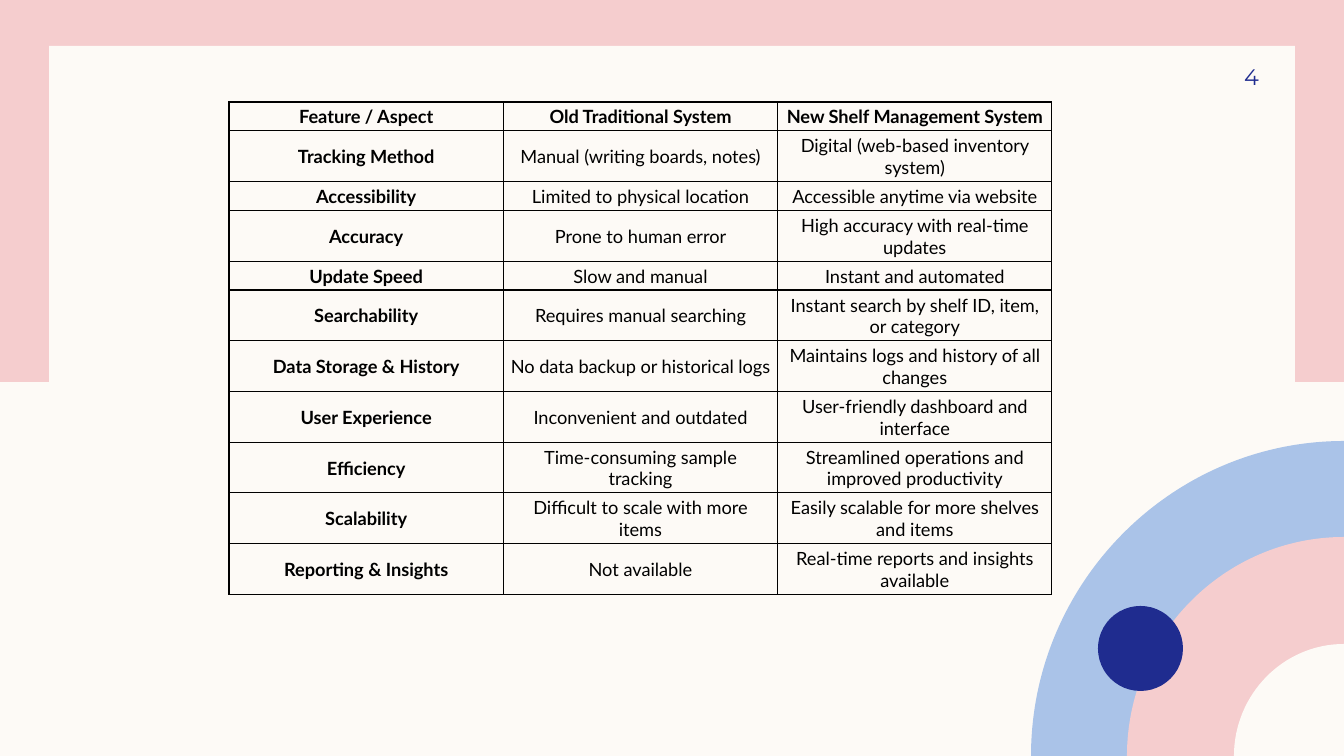
from lxml import etree
from pptx import Presentation
from pptx import util as u
from pptx.dml.color import RGBColor
from pptx.enum import shapes, text
from pptx.oxml.ns import qn

EMU_PER_PX = 914400 / 100.8
WIDTH, HEIGHT = 1344, 756
ARC_EASE = 0.45  # share of the radius left beyond a quarter arc's control point
COLORS = {"cream": "FDFAF6", "pink": "F5CDCE", "sky": "AAC3E8",
          "navy": "1F2C8F", "black": "000000"}

COMPARISON = [
    ("Feature / Aspect", "Old Traditional System", "New Shelf Management System"),
    ("Tracking Method", "Manual (writing boards, notes)", "Digital (web-based inventory system)"),
    ("Accessibility", "Limited to physical location", "Accessible anytime via website"),
    ("Accuracy", "Prone to human error", "High accuracy with real-time updates"),
    ("Update Speed", "Slow and manual", "Instant and automated"),
    ("Searchability", "Requires manual searching", "Instant search by shelf ID, item, or category"),
    ("Data Storage & History", "No data backup or historical logs",
     "Maintains logs and history of all changes"),
    ("User Experience", "Inconvenient and outdated", "User-friendly dashboard and interface"),
    ("Efficiency", "Time-consuming sample tracking",
     "Streamlined operations and improved productivity"),
    ("Scalability", "Difficult to scale with more items",
     "Easily scalable for more shelves and items"),
    ("Reporting & Insights", "Not available", "Real-time reports and insights available"),
]
ONE_LINE_ROWS = {0, 2, 4}


def px(n):
    return u.Emu(round(n * EMU_PER_PX))


def color(name):
    return RGBColor.from_string(COLORS[name])


def write(tf, content, *, size, font, fill, bold=False, align="CENTER"):
    p = tf.paragraphs[0]
    p.alignment = getattr(text.PP_ALIGN, align)
    r = p.add_run()
    r.text = content
    r.font.size, r.font.name, r.font.bold = u.Pt(size), font, bold
    r.font.color.rgb = color(fill)


def set_margins(box, left, top, right, bottom):
    box.margin_left, box.margin_top = px(left), px(top)
    box.margin_right, box.margin_bottom = px(right), px(bottom)
    box.vertical_anchor = text.MSO_ANCHOR.MIDDLE


def border(cell, fill, width):
    tcPr = cell._tc.get_or_add_tcPr()
    for i, side in enumerate("LRTB"):
        ln = etree.Element(qn(f"a:ln{side}"), w=str(u.Pt(width)))
        solid = etree.SubElement(ln, qn("a:solidFill"))
        etree.SubElement(solid, qn("a:srgbClr"), val=COLORS[fill])
        tcPr.insert(i, ln)


class Deck:
    def __init__(self):
        self.prs = Presentation()
        self.prs.slide_width, self.prs.slide_height = px(WIDTH), px(HEIGHT)
        self.body_font, self.number_font = "Lato", "Montserrat"

    def slide(self, background):
        self.s = self.prs.slides.add_slide(self.prs.slide_layouts[6])
        self.s.background.fill.solid()
        self.s.background.fill.fore_color.rgb = color(background)

    def paint(self, sp, fill):
        sp.shadow.inherit = False
        sp.fill.solid()
        sp.fill.fore_color.rgb = color(fill)
        sp.line.fill.background()

    def shape(self, kind, x, y, w, h, fill):
        sp = self.s.shapes.add_shape(kind, px(x), px(y), px(w), px(h))
        self.paint(sp, fill)

    def corner_sector(self, rx, ry, fill):
        """Quarter ellipse centred on the bottom right corner of the slide."""
        outline = self.s.shapes.build_freeform(px(WIDTH), px(HEIGHT))
        outline.add_line_segments([(px(WIDTH - rx), px(HEIGHT)), (px(WIDTH), px(HEIGHT - ry))])
        sp = outline.convert_to_shape()
        self.paint(sp, fill)
        chord = sp._element.findall(".//" + qn("a:lnTo"))[1]
        arc = etree.Element(qn("a:cubicBezTo"))
        w, h = px(rx), px(ry)
        for x, y in [(0, h * ARC_EASE), (w * ARC_EASE, 0), (w, 0)]:
            etree.SubElement(arc, qn("a:pt"), x=str(round(x)), y=str(round(y)))
        chord.getparent().replace(chord, arc)

    def page_number(self, number, x, y, w, h):
        tf = self.s.shapes.add_textbox(px(x), px(y), px(w), px(h)).text_frame
        tf.word_wrap = True
        set_margins(tf, 10, 5, 0, 5)
        write(tf, number, size=16, font=self.number_font, fill="navy", align="RIGHT")

    def table(self, rows, x, y, w, row_heights):
        n_cols = len(rows[0])
        frame = self.s.shapes.add_table(len(rows), n_cols, px(x), px(y),
                                        px(w), px(sum(row_heights)))
        table = frame.table
        table.first_row = table.horz_banding = False
        for col in table.columns:
            col.width = px(w / n_cols)
        for i, (row, h) in enumerate(zip(rows, row_heights)):
            table.rows[i].height = px(h)
            for j, content in enumerate(row):
                cell = table.cell(i, j)
                cell.fill.background()
                set_margins(cell, 7, 4, 7, 3)
                border(cell, "black", 1)
                write(cell.text_frame, content, size=13, font=self.body_font,
                      fill="black", bold=i == 0 or j == 0)


def main():
    deck = Deck()
    deck.slide("cream")
    rect, oval = shapes.MSO_SHAPE.RECTANGLE, shapes.MSO_SHAPE.OVAL
    deck.shape(rect, -3, 0, WIDTH + 3, 382, "pink")
    deck.shape(rect, 49, 46, 1246, 665, "cream")
    for rx, ry, fill in [(313, 315, "sky"), (217, 219, "pink"), (110, 112, "cream")]:
        deck.corner_sector(rx, ry, fill)
    deck.shape(oval, 1098, 606, 85, 85, "navy")
    deck.page_number("4", 1141, 51, 118, 52)
    heights = [28 if i in ONE_LINE_ROWS else 50 for i in range(len(COMPARISON))]
    deck.table(COMPARISON, 229, 102, 823, heights)
    deck.prs.save("out.pptx")


if __name__ == "__main__":
    main()
